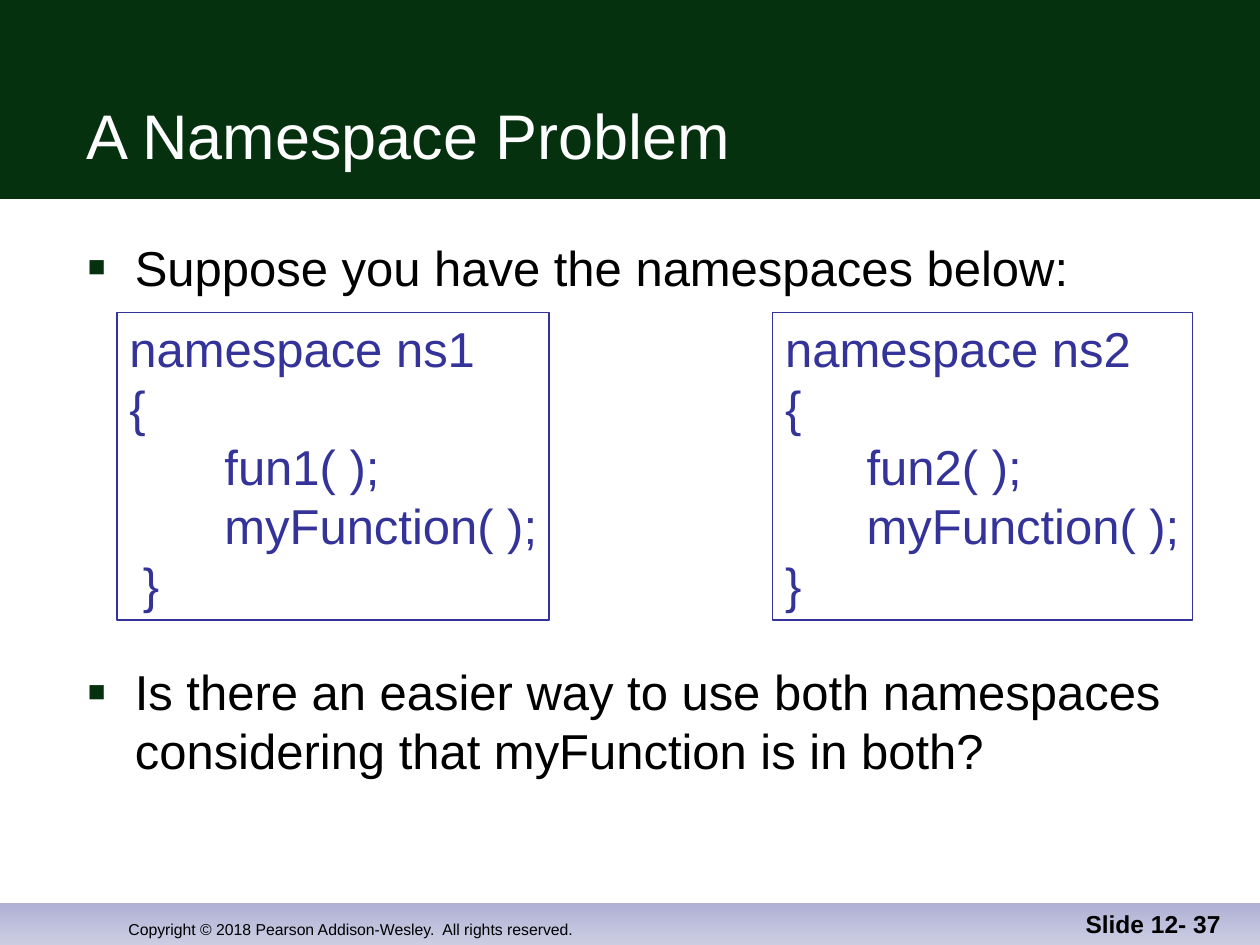
from lxml.etree import SubElement
from pptx import Presentation
from pptx.dml.color import RGBColor
from pptx.enum.shapes import MSO_SHAPE
from pptx.enum.text import MSO_ANCHOR, MSO_AUTO_SIZE, PP_ALIGN
from pptx.oxml.ns import qn
from pptx.util import Cm, Pt

BLACK = RGBColor(0x00, 0x00, 0x00)
WHITE = RGBColor(0xFF, 0xFF, 0xFF)
GREEN = RGBColor(0x05, 0x31, 0x0F)
BLUE = RGBColor(0x33, 0x33, 0x99)
LAVENDER = RGBColor(0xB0, 0xB1, 0xD4)
PALE_LAVENDER = RGBColor(0xCC, 0xCD, 0xE3)

FONT = "Arial"
SLIDE_WIDTH = 25.4
SLIDE_HEIGHT = 19.05
HEADER_HEIGHT = 4.01
FOOTER_HEIGHT = 0.84
CODE_TOP = 6.3
CODE_HEIGHT = 6.2


def write_text(paragraph, text, size=28, color=BLACK, bold=False,
               align=PP_ALIGN.LEFT, before=0):
    paragraph.text = text
    paragraph.alignment = align
    paragraph.space_before = Pt(before)
    for run in paragraph.runs:
        run.font.name = FONT
        run.font.size = Pt(size)
        run.font.bold = bold
        run.font.color.rgb = color


def set_frame(shape, anchor=MSO_ANCHOR.TOP, wrap=True, right=0.25):
    frame = shape.text_frame
    frame.auto_size = MSO_AUTO_SIZE.NONE
    frame.word_wrap = wrap
    frame.vertical_anchor = anchor
    frame.margin_left = Cm(0.25)
    frame.margin_right = Cm(right)
    frame.margin_top = Cm(0.13)
    frame.margin_bottom = Cm(0.13)
    return frame


def add_rectangle(slide, left, top, width, height):
    shape = slide.shapes.add_shape(
        MSO_SHAPE.RECTANGLE, Cm(left), Cm(top), Cm(width), Cm(height))
    shape.shadow.inherit = False
    return shape


def add_bands(slide):
    header = add_rectangle(slide, 0, 0, SLIDE_WIDTH, HEADER_HEIGHT)
    header.fill.solid()
    header.fill.fore_color.rgb = GREEN
    footer = add_rectangle(
        slide, 0, SLIDE_HEIGHT - FOOTER_HEIGHT, SLIDE_WIDTH, FOOTER_HEIGHT)
    footer.fill.gradient()
    footer.fill.gradient_angle = 270
    for stop, color, position in zip(
            footer.fill.gradient_stops, (LAVENDER, PALE_LAVENDER), (0, 1)):
        stop.color.rgb = color
        stop.position = position
    for band in (header, footer):
        band.line.fill.background()


def place_title(slide, text):
    title = slide.shapes.title
    title.left, title.top = Cm(1.49), Cm(0.84)
    title.width, title.height = Cm(23.06), Cm(2.77)
    slide.shapes.element.append(title.element)
    frame = set_frame(title, anchor=MSO_ANCHOR.BOTTOM)
    write_text(frame.paragraphs[0], text, size=36, color=WHITE)


def add_bullet(paragraph):
    properties = paragraph._p.get_or_add_pPr()
    properties.set("marL", str(Cm(0.95)))
    properties.set("indent", str(-Cm(0.95)))
    color = SubElement(properties, qn("a:buClr"))
    SubElement(color, qn("a:srgbClr"), val=str(GREEN))
    SubElement(properties, qn("a:buSzPct"), val="60000")
    SubElement(properties, qn("a:buFont"), typeface=FONT)
    SubElement(properties, qn("a:buChar"), char="■")


def add_body(slide, items):
    box = slide.shapes.add_textbox(Cm(1.52), Cm(4.65), Cm(23.04), Cm(12.7))
    frame = set_frame(box, right=0)
    for index, (text, before) in enumerate(items):
        paragraph = frame.add_paragraph() if index else frame.paragraphs[0]
        add_bullet(paragraph)
        write_text(paragraph, text, before=before)


def add_code(slide, left, width, code):
    shape = add_rectangle(slide, left, CODE_TOP, width, CODE_HEIGHT)
    shape.fill.background()
    shape.line.color.rgb = BLUE
    shape.line.width = Pt(0.75)
    frame = set_frame(shape, wrap=False)
    write_text(frame.paragraphs[0], code, color=BLUE)


def add_footer_text(slide, left, width, text, **text_format):
    box = slide.shapes.add_textbox(Cm(left), Cm(17.78), Cm(width), Cm(1.27))
    frame = set_frame(box, anchor=MSO_ANCHOR.BOTTOM)
    write_text(frame.paragraphs[0], text, **text_format)


def main():
    presentation = Presentation()
    presentation.slide_width = Cm(SLIDE_WIDTH)
    presentation.slide_height = Cm(SLIDE_HEIGHT)
    slide = presentation.slides.add_slide(presentation.slide_layouts[5])
    add_bands(slide)
    add_footer_text(
        slide, 2.34, 12.5,
        "Copyright © 2018 Pearson Addison-Wesley.  All rights reserved.",
        size=9)
    place_title(slide, "A Namespace Problem")
    add_body(slide, [
        ("Suppose you have the namespaces below:", 0),
        ("Is there an easier way to use both namespaces\v"
         "considering that myFunction is in both?", 209),
    ])
    add_footer_text(slide, 19.58, 5.28, "Slide 12- 37",
                    size=14, bold=True, align=PP_ALIGN.RIGHT)
    add_code(slide, 2.36, 8.71,
             "namespace ns1\v{\v       fun1( );\v       myFunction( );\v }")
    add_code(slide, 15.58, 8.46,
             "namespace ns2\v{\v      fun2( );\v      myFunction( );\v}")
    presentation.save("out.pptx")


if __name__ == "__main__":
    main()
